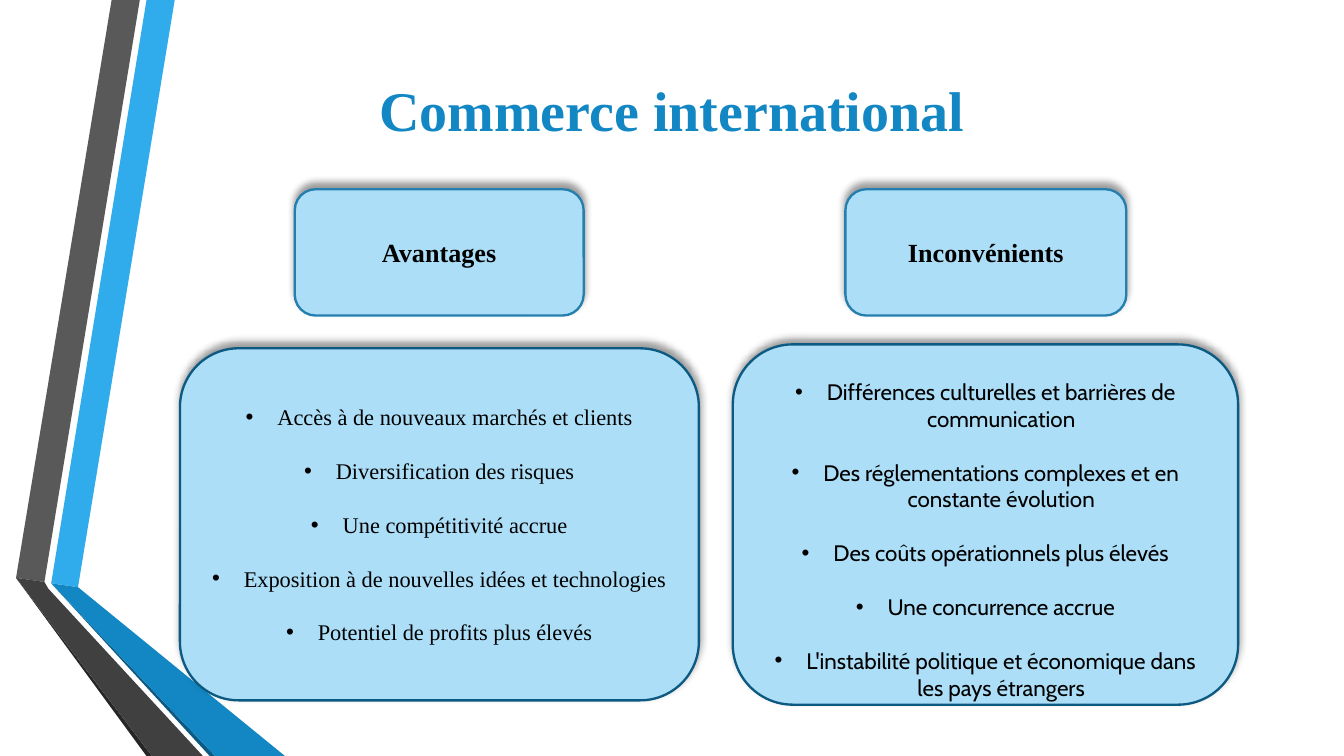
from lxml import etree
from pptx import Presentation
from pptx.dml.color import RGBColor
from pptx.enum import shapes as kinds, text as txt
from pptx.oxml import ns
from pptx.util import Pt

SKY = RGBColor(0x30, 0xAC, 0xEC)
BLUE = RGBColor(0x12, 0x87, 0xC3)
NAVY = RGBColor(0x0C, 0x5A, 0x82)
STEEL = RGBColor(0x24, 0x7F, 0xAF)
PALE = RGBColor(0xAC, 0xDE, 0xF7)
GREY = RGBColor(0x59, 0x59, 0x59)
DARK = RGBColor(0x40, 0x40, 0x40)
COAL = RGBColor(0x26, 0x26, 0x26)
BLACK = RGBColor(0, 0, 0)

SERIF = "Times New Roman"
SANS = "Cabin"

BANDS = [
    (SKY, [(27.4, 312.5), (41.8, 314.6), (93.6, 0), (78.5, 0)]),
    (GREY, [(74.9, 0), (59.8, 0), (8.6, 309.6), (23.8, 311.8)]),
    (COAL, [(8.6, 309.6), (78.5, 405), (81.4, 405)]),
    (NAVY, [(27.4, 312.5), (112.3, 405), (115.2, 405)]),
    (BLUE, [(27.4, 312.5), (115.2, 405), (152.6, 405), (41.8, 314.6)]),
    (DARK, [(108.7, 405), (25.9, 315.4), (23.8, 311.8), (8.6, 309.6), (81.4, 405)]),
]

PROS = [
    "Accès à de nouveaux marchés et clients",
    "Diversification des risques",
    "Une compétitivité accrue",
    "Exposition à de nouvelles idées et technologies",
    "Potentiel de profits plus élevés",
]
CONS = [
    "Différences culturelles et barrières de communication",
    "Des réglementations complexes et en constante évolution",
    "Des coûts opérationnels plus élevés",
    "Une concurrence accrue",
    "L'instabilité politique et économique dans les pays étrangers",
]


def band(slide, color, dots):
    dots = [(Pt(x), Pt(y)) for x, y in dots]
    pen = slide.shapes.build_freeform(*dots[0])
    pen.add_line_segments(dots[1:], close=True)
    shape = pen.convert_to_shape()
    shape.shadow.inherit = False
    shape.fill.solid()
    shape.fill.fore_color.rgb = color
    shape.line.fill.background()


def shade(shape):
    shape.shadow.inherit = False
    glow = shape._element.spPr.find(ns.qn("a:effectLst"))
    outer = etree.SubElement(glow, ns.qn("a:outerShdw"), blurRad=str(Pt(4)),
                             dist=str(Pt(3)), dir="16200000", rotWithShape="0")
    tint = etree.SubElement(outer, ns.qn("a:srgbClr"), val=str(BLACK))
    etree.SubElement(tint, ns.qn("a:alpha"), val="40000")


def card(slide, left, top, width, height, edge):
    shape = slide.shapes.add_shape(kinds.MSO_SHAPE.ROUNDED_RECTANGLE,
                                   Pt(left), Pt(top), Pt(width), Pt(height))
    shape.fill.solid()
    shape.fill.fore_color.rgb = PALE
    shape.line.color.rgb = edge
    shape.line.width = Pt(1.25)
    shade(shape)
    return shape


def bullet(para):
    props = para._p.get_or_add_pPr()
    props.set("marL", str(Pt(17)))
    props.set("indent", str(-Pt(17)))
    etree.SubElement(props, ns.qn("a:buFont"), typeface="Arial")
    etree.SubElement(props, ns.qn("a:buChar"), char="•")


def write(shape, lines, size=14, font=SERIF, color=BLACK, bold=False,
          anchor=txt.MSO_ANCHOR.MIDDLE, side=7.2, edge=3.6, dots=False):
    frame = shape.text_frame
    frame.word_wrap = True
    frame.auto_size = txt.MSO_AUTO_SIZE.NONE
    frame.vertical_anchor = anchor
    frame.margin_left = frame.margin_right = Pt(side)
    frame.margin_top = frame.margin_bottom = Pt(edge)
    for index, line in enumerate(lines):
        para = frame.add_paragraph() if index else frame.paragraphs[0]
        para.alignment = txt.PP_ALIGN.CENTER
        if dots:
            para.line_spacing = Pt(14.4)
            para.space_before = Pt(14.4 if index else 0)
            bullet(para)
        run = para.add_run()
        run.text = line
        run.font.size = Pt(size)
        run.font.name = font
        run.font.bold = bold
        run.font.color.rgb = color


def main():
    deck = Presentation()
    deck.slide_width, deck.slide_height = Pt(720), Pt(405)
    slide = deck.slides.add_slide(deck.slide_layouts[5])
    for color, dots in BANDS:
        band(slide, color, dots)

    title = slide.shapes.title
    title.left, title.top = Pt(56.9), Pt(36)
    title.width, title.height = Pt(606.2), Pt(47.5)
    write(title, ["Commerce international"], size=30, color=BLUE, bold=True,
          anchor=txt.MSO_ANCHOR.BOTTOM, edge=7.2)

    write(card(slide, 452.9, 101.4, 150.5, 67.7, STEEL), ["Inconvénients"], bold=True)
    write(card(slide, 157.9, 101.4, 154.8, 67.7, STEEL), ["Avantages"], bold=True)
    write(card(slide, 96.4, 186.6, 278, 188.6, NAVY), PROS, size=12, side=5, dots=True)
    write(card(slide, 392.6, 184.5, 270.7, 193, NAVY), CONS, size=12, font=SANS,
          anchor=txt.MSO_ANCHOR.TOP, edge=8.6, dots=True)
    deck.save("out.pptx")


if __name__ == "__main__":
    main()
